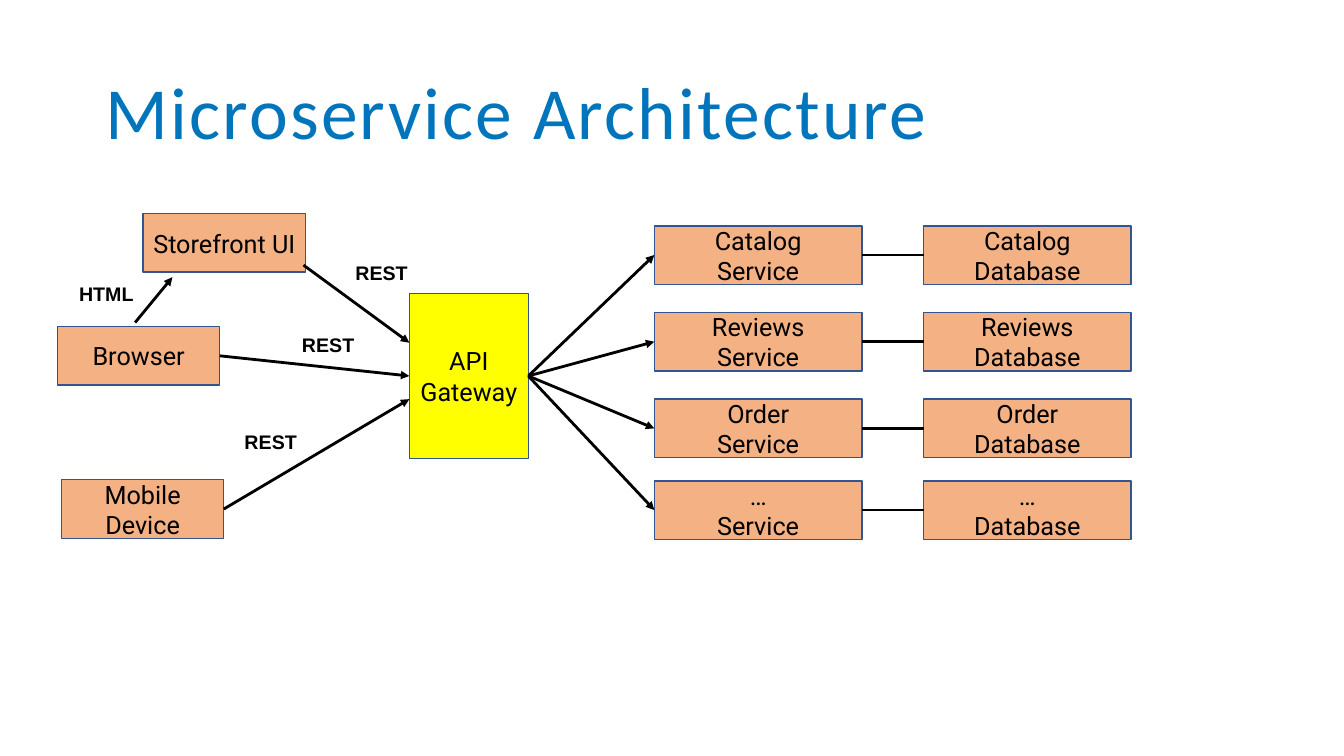
from lxml.etree import SubElement
from pptx import Presentation
from pptx.dml.color import RGBColor
from pptx.enum.shapes import MSO_CONNECTOR, MSO_SHAPE
from pptx.enum.text import MSO_ANCHOR, PP_ALIGN
from pptx.oxml.ns import qn
from pptx.util import Inches, Pt

TOP, LEFT, BOTTOM, RIGHT = range(4)


def rgb(value):
    return RGBColor.from_string(value)


class Diagram:
    ORANGE, YELLOW = "F4B183", "FFFF00"
    BORDER, BLACK, BLUE = "325491", "000000", "0075BC"

    def __init__(self, slide):
        self.s = slide

    def format_text(self, tf, text, size, font, color, bold=False, align=PP_ALIGN.CENTER):
        tf.text = text
        tf.word_wrap = True
        for p in tf.paragraphs:
            p.alignment = align
            for r in p.runs:
                r.font.size = Pt(size)
                r.font.name = font
                r.font.bold = bold
                r.font.color.rgb = rgb(color)

    def title(self, text, x, y, w, h):
        tf = self.s.shapes.add_textbox(Inches(x), Inches(y), Inches(w), Inches(h)).text_frame
        self.format_text(tf, text, 52.5, "Calibri", self.BLUE, align=PP_ALIGN.LEFT)
        p = tf.paragraphs[0]
        p.line_spacing = 0.9
        p.runs[0].font._element.set("spc", "160")

    def box(self, text, x, y, w=1.61, h=0.58, fill=ORANGE):
        sp = self.s.shapes.add_shape(
            MSO_SHAPE.RECTANGLE, Inches(x), Inches(y), Inches(w), Inches(h))
        sp.shadow.inherit = False
        sp.fill.solid()
        sp.fill.fore_color.rgb = rgb(fill)
        sp.line.color.rgb = rgb(self.BORDER)
        sp.line.width = Pt(1)
        sp.text_frame.vertical_anchor = MSO_ANCHOR.MIDDLE
        self.format_text(sp.text_frame, text, 18, "Roboto", self.BLACK)
        return sp

    def label(self, text, x, y, w=1.75, h=0.39):
        tf = self.s.shapes.add_textbox(Inches(x), Inches(y), Inches(w), Inches(h)).text_frame
        tf.margin_left = tf.margin_right = tf.margin_top = tf.margin_bottom = Inches(0.08)
        tf.vertical_anchor = MSO_ANCHOR.MIDDLE
        self.format_text(tf, text, 14, "Arial", self.BLACK, bold=True)

    def link(self, start, end, arrow=True):
        """Each end is an (x, y) point or a (box, side) pair."""
        line = self.s.shapes.add_connector(MSO_CONNECTOR.STRAIGHT, 0, 0, 0, 0)
        line.line.color.rgb = rgb(self.BLACK)
        line.line.width = Pt(2)
        if hasattr(start[0], "shape_id"):
            line.begin_connect(*start)
        else:
            line.begin_x, line.begin_y = map(Inches, start)
        if hasattr(end[0], "shape_id"):
            line.end_connect(*end)
        else:
            line.end_x, line.end_y = map(Inches, end)
        if arrow:
            SubElement(line.line._get_or_add_ln(), qn("a:tailEnd"), type="triangle")
        SubElement(line._element.spPr, qn("a:effectLst"))


def main():
    prs = Presentation()
    prs.slide_width, prs.slide_height = Inches(13.33), Inches(7.5)
    d = Diagram(prs.slides.add_slide(prs.slide_layouts[6]))
    d.title("Microservice Architecture", 0.95, 0.7, 11.07, 1.02)

    # Clients and gateway
    gateway = d.box("API Gateway", 4.06, 2.91, 1.18, 1.64, d.YELLOW)
    d.box("Storefront UI ", 1.42, 2.12)
    browser = d.box("Browser", 0.57, 3.24)
    mobile = d.box("Mobile Device", 0.61, 4.76)

    # Client calls
    d.link((1.34, 3.2), (1.71, 2.75))
    d.link((3.01, 2.63), (4.06, 3.4))
    d.link((browser, RIGHT), (gateway, LEFT))
    d.link((mobile, RIGHT), (4.06, 3.96))

    # Services, each with its own database
    rows = [("Catalog", " ", 2.24), ("Reviews", "\n", 3.1),
            ("Order", "\n", 3.96), ("…", "\n", 4.77)]
    for name, gap, y in rows:
        service = d.box(f"{name}\nService", 6.49, y, w=2.06)
        database = d.box(f"{name}{gap}Database", 9.16, y, w=2.06)
        d.link((gateway, RIGHT), (service, LEFT))
        d.link((service, RIGHT), (database, LEFT), arrow=False)

    # Protocol labels
    d.label("HTML", 0.42, 2.72, w=1.27)
    for x, y in [(2.91, 2.51), (2.38, 3.22), (1.81, 4.19)]:
        d.label("REST", x, y)

    prs.save("out.pptx")


if __name__ == "__main__":
    main()
